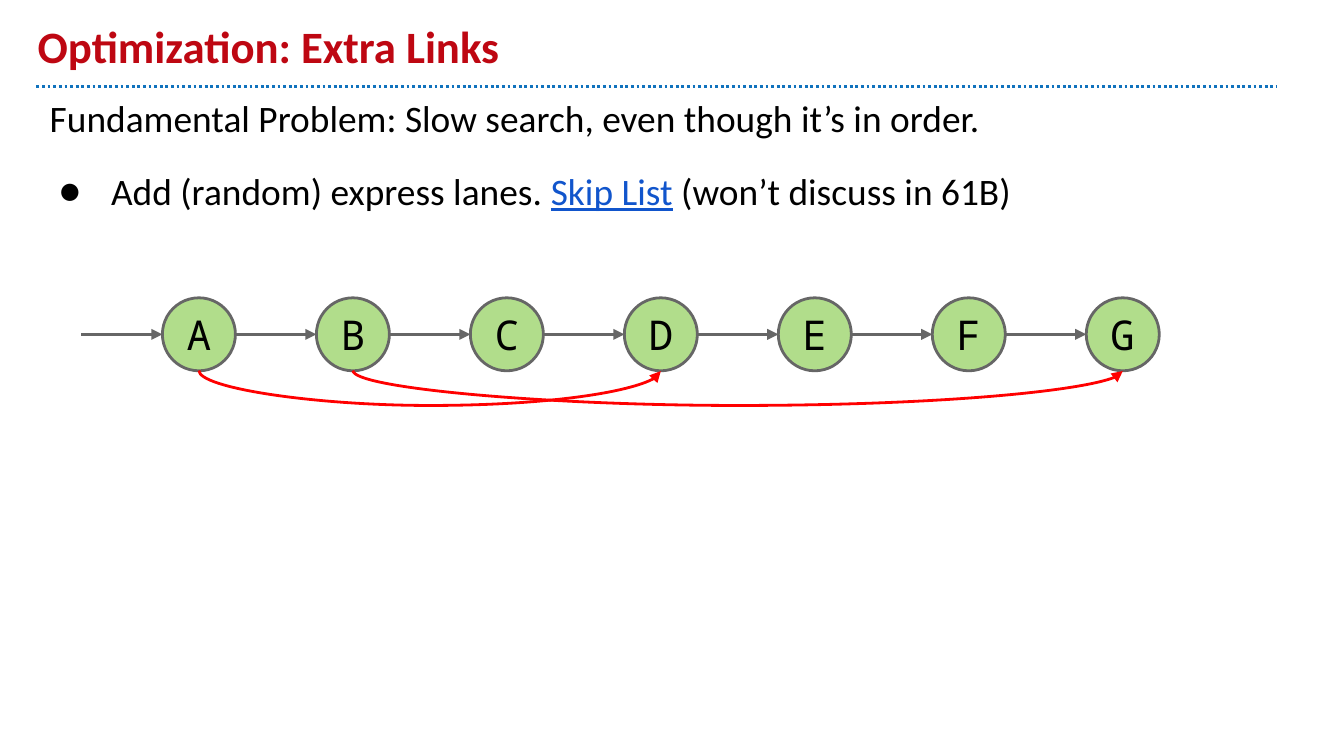
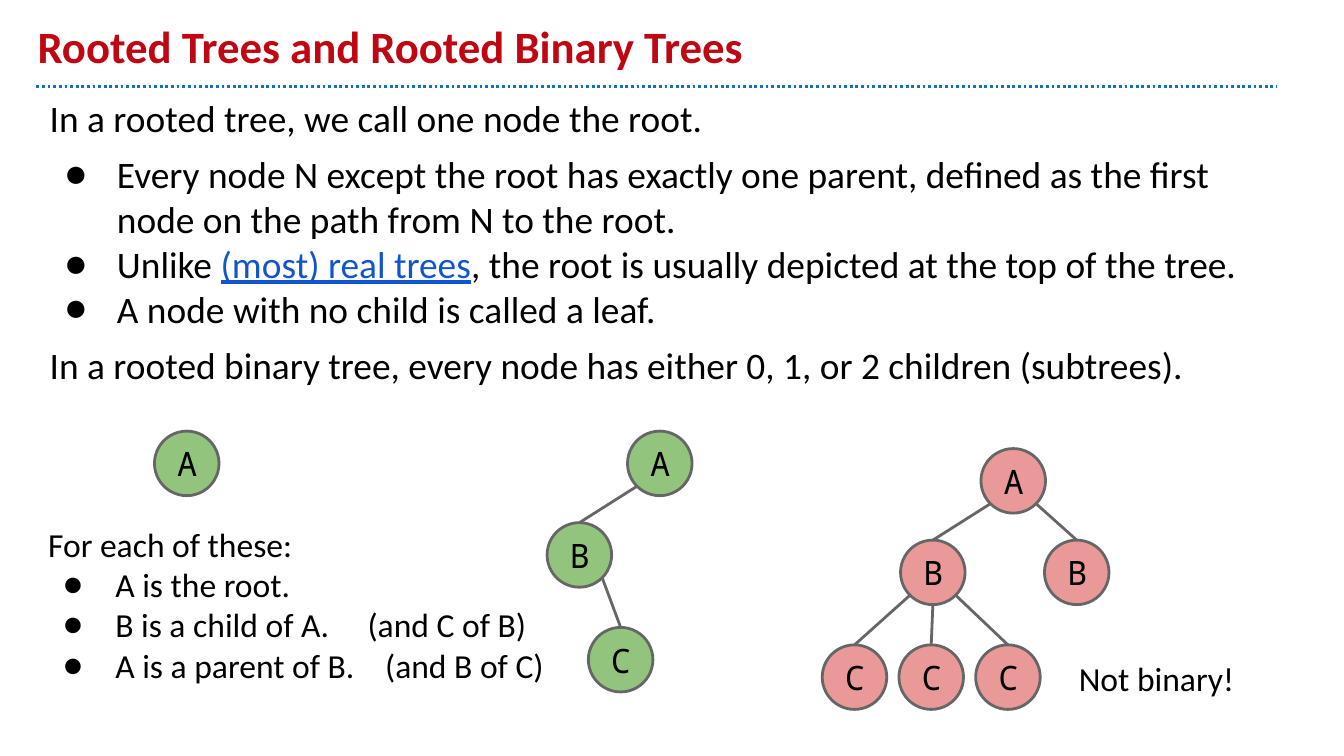
from dataclasses import dataclass
from math import sqrt
from typing import Any, NamedTuple, Sequence

from lxml import etree
from pptx import Presentation
from pptx import util as u
from pptx.dml.color import RGBColor
from pptx.enum import dml, shapes, text
from pptx.oxml import ns


@dataclass(frozen=True)
class Theme:
    title: RGBColor = RGBColor(0xBE, 0x07, 0x12)
    rule: RGBColor = RGBColor(0x10, 0x72, 0xBD)
    ink: RGBColor = RGBColor(0, 0, 0)
    link: RGBColor = RGBColor(0x11, 0x55, 0xCC)
    outline: RGBColor = RGBColor(0x66, 0x66, 0x66)
    express: RGBColor = RGBColor(0xFF, 0, 0)
    list_node: RGBColor = RGBColor(0xB1, 0xDD, 0x8B)
    binary_node: RGBColor = RGBColor(0x93, 0xC4, 0x7D)
    other_node: RGBColor = RGBColor(0xEA, 0x99, 0x99)
    font: str = "Calibri"
    mono: str = "Noto Sans Mono"
    title_size: float = 24
    list_node_size: float = 22
    body_size: float = 20
    small_size: float = 18
    line_width: float = 1.5
    inset: float = 0.25


THEME = Theme()


class Box(NamedTuple):
    left: float
    top: float
    width: float
    height: float


class Point(NamedTuple):
    x: float
    y: float


class Run(NamedTuple):
    text: str
    link: bool = False
    spacing: float = 0


@dataclass(frozen=True)
class Line:
    runs: tuple[Run, ...]
    bullet: bool = False
    before: float = 0


@dataclass(frozen=True)
class Node:
    label: str
    center: Point
    parent: int | None = None


def plain(content: str, before: float = 0) -> Line:
    return Line((Run(content),), before=before)


def bullet(*runs: Run | str, before: float = 0) -> Line:
    parts = tuple(Run(run) if isinstance(run, str) else run for run in runs)
    return Line(parts, bullet=True, before=before)


def add_xml(parent: Any, tag: str, **attributes: Any) -> Any:
    values = {name: str(value) for name, value in attributes.items()}
    return etree.SubElement(parent, ns.qn(tag), values)


def write_text(paragraph: Any, content: str, *, size: float, font: str = THEME.font,
               color: RGBColor = THEME.ink, bold: bool = False,
               underline: bool = False, spacing: float = 0) -> None:
    run = paragraph.add_run()
    run.text = content
    run.font.name = font
    run.font.size = u.Pt(size)
    run.font.color.rgb = color
    run.font.bold = bold
    run.font.underline = underline
    if spacing:
        run.font._element.set("spc", str(round(spacing * 100)))


def prepare_frame(frame: Any, anchor: Any) -> None:
    frame.word_wrap = True
    frame.auto_size = text.MSO_AUTO_SIZE.NONE
    frame.vertical_anchor = anchor
    frame.margin_left = frame.margin_right = u.Cm(THEME.inset)
    frame.margin_top = frame.margin_bottom = u.Cm(THEME.inset)


def place(shape: Any, box: Box) -> None:
    shape.left, shape.top, shape.width, shape.height = map(u.Cm, box)


def format_bullet(paragraph: Any, shown: bool) -> None:
    properties = paragraph._p.get_or_add_pPr()
    properties.set("marL", str(u.Cm(1.27) if shown else 0))
    properties.set("indent", str(-u.Cm(0.99) if shown else 0))
    if shown:
        add_xml(add_xml(properties, "a:buClr"), "a:srgbClr", val=THEME.ink)
        add_xml(properties, "a:buFont", typeface=THEME.font)
        add_xml(properties, "a:buChar", char="●")
    else:
        add_xml(properties, "a:buNone")


def write_lines(shape: Any, lines: Sequence[Line], size: float,
                anchor: Any = text.MSO_ANCHOR.TOP) -> None:
    frame = shape.text_frame
    prepare_frame(frame, anchor)
    for index, line in enumerate(lines):
        paragraph = frame.add_paragraph() if index else frame.paragraphs[0]
        paragraph.alignment = text.PP_ALIGN.LEFT
        paragraph.space_before = u.Pt(line.before)
        paragraph.space_after = u.Pt(0)
        format_bullet(paragraph, line.bullet)
        for run in line.runs:
            write_text(paragraph, run.text, size=size, spacing=run.spacing,
                       color=THEME.link if run.link else THEME.ink,
                       underline=run.link)


def add_text_box(slide: Any, box: Box, lines: Sequence[Line], size: float,
                 anchor: Any = text.MSO_ANCHOR.TOP) -> None:
    write_lines(slide.shapes.add_textbox(*map(u.Cm, box)), lines, size, anchor)


def add_line(canvas: Any, start: Point, end: Point, *, color: RGBColor = THEME.outline,
             arrow: bool = False, kind: Any = shapes.MSO_CONNECTOR.STRAIGHT) -> Any:
    connector = canvas.add_connector(kind, *map(u.Cm, (*start, *end)))
    connector.line.color.rgb = color
    connector.line.width = u.Pt(THEME.line_width)
    if arrow:
        add_xml(connector.line._get_or_add_ln(), "a:tailEnd", type="triangle")
    add_xml(connector.element.spPr, "a:effectLst")
    return connector


def add_node(canvas: Any, label: str, center: Point, diameter: float,
             fill: RGBColor, size: float) -> Any:
    box = Box(center.x - diameter / 2, center.y - diameter / 2, diameter, diameter)
    node = canvas.add_shape(shapes.MSO_SHAPE.OVAL, *map(u.Cm, box))
    node.shadow.inherit = False
    node.fill.solid()
    node.fill.fore_color.rgb = fill
    node.line.color.rgb = THEME.outline
    node.line.width = u.Pt(THEME.line_width)
    prepare_frame(node.text_frame, text.MSO_ANCHOR.MIDDLE)
    paragraph = node.text_frame.paragraphs[0]
    paragraph.alignment = text.PP_ALIGN.CENTER
    write_text(paragraph, label, size=size, font=THEME.mono)
    return node


def add_express_lane(canvas: Any, source: Any, target: Any,
                     start: Point, end: Point) -> None:
    depth, thickness, bottom_site = 0.66, 0.01, 4
    lane = add_line(canvas, start, end, color=THEME.express, arrow=True,
                    kind=shapes.MSO_CONNECTOR.CURVE)
    span = end.x - start.x
    middle = (start.x + end.x) / 2
    place(lane, Box(middle - thickness / 2, start.y - span / 2, thickness, span))
    properties = lane.element.spPr
    transform = properties.find(ns.qn("a:xfrm"))
    transform.set("rot", "16200000")
    transform.set("flipH", "1")
    adjustments = properties.find(ns.qn("a:prstGeom")).find(ns.qn("a:avLst"))
    ratio = round(depth / thickness * 100000)
    add_xml(adjustments, "a:gd", name="adj1", fmla=f"val {ratio}")
    ends = lane.element.nvCxnSpPr.cNvCxnSpPr
    add_xml(ends, "a:stCxn", id=source.shape_id, idx=bottom_site)
    add_xml(ends, "a:endCxn", id=target.shape_id, idx=bottom_site)


def add_tree(slide: Any, nodes: Sequence[Node], fill: RGBColor) -> None:
    diameter = 1.22
    radius = diameter / 2
    canvas = slide.shapes.add_group_shape().shapes if len(nodes) > 1 else slide.shapes
    for node in nodes:
        if node.parent is None:
            continue
        parent = nodes[node.parent].center
        offset = node.center.x - parent.x
        if abs(offset) < 0.1:
            start = Point(parent.x, parent.y + radius)
        else:
            reach = radius / sqrt(2)
            start = Point(parent.x + (reach if offset > 0 else -reach), parent.y + reach)
        add_line(canvas, start, Point(node.center.x, node.center.y - radius))
    for node in nodes:
        add_node(canvas, node.label, node.center, diameter, fill, THEME.small_size)


def add_slide(presentation: Any, title: str, title_width: float,
              body_height: float, lines: Sequence[Line]) -> Any:
    slide = presentation.slides.add_slide(presentation.slide_layouts[1])
    heading, body = slide.placeholders
    place(heading, Box(0.46, 0.25, title_width, 1.37))
    prepare_frame(heading.text_frame, text.MSO_ANCHOR.BOTTOM)
    paragraph = heading.text_frame.paragraphs[0]
    paragraph.alignment = text.PP_ALIGN.LEFT
    write_text(paragraph, title, size=THEME.title_size, color=THEME.title, bold=True)
    place(body, Box(0.69, 1.55, 23.44, body_height))
    write_lines(body, lines, THEME.body_size)
    return slide


def add_layout_rule(slide: Any) -> None:
    rule = add_line(slide.shapes, Point(0.69, 1.63), Point(24.13, 1.63), color=THEME.rule)
    rule.line.dash_style = dml.MSO_LINE.ROUND_DOT
    slide.slide_layout.shapes.element.append(rule.element)


def build_links_slide(presentation: Any) -> None:
    slide = add_slide(presentation, "Optimization: Extra Links", 22.86, 2.16, [
        plain("Fundamental Problem: Slow search, even though it’s in order.", 6)])
    add_layout_rule(slide)
    diameter, step, first, middle = 1.38, 2.91, 3.76, 6.32
    radius = diameter / 2
    centers = {label: Point(first + index * step, middle)
               for index, label in enumerate("ABCDEFG")}
    nodes = {label: add_node(slide.shapes, label, center, diameter,
                             THEME.list_node, THEME.list_node_size)
             for label, center in centers.items()}
    for center in centers.values():
        add_line(slide.shapes, Point(center.x - step + radius, middle),
                 Point(center.x - radius, middle), arrow=True)
    for source, target in ("AD", "BG"):
        add_express_lane(slide.shapes, nodes[source], nodes[target],
                         Point(centers[source].x, middle + radius),
                         Point(centers[target].x, middle + radius))
    add_text_box(slide, Box(0.58, 2.03, 24.13, 3.15), [
        bullet("Add (random) express lanes. ", Run("Skip List", link=True),
               " (won’t discuss in 61B)", before=6)],
        THEME.body_size, text.MSO_ANCHOR.MIDDLE)


def build_trees_slide(presentation: Any) -> None:
    slide = add_slide(presentation, "Rooted Trees and Rooted Binary Trees", 24, 6.81, [
        plain("In a rooted tree, we call one node the root.", 6),
        bullet("Every node N except the root has exactly one parent, defined as "
               "the first node on the path from N to the root.", before=6),
        bullet("Unlike ", Run("(most) real trees", link=True),
               ", the root is usually depicted at the top of the tree."),
        bullet("A node with no child is called a leaf."),
        plain("In a rooted binary tree, every node has either 0, 1, or 2 children "
              "(subtrees).", 6)])
    add_tree(slide, [Node("A", Point(3.53, 8.76))], THEME.binary_node)
    add_tree(slide, [Node("A", Point(12.47, 8.76)),
                     Node("B", Point(10.95, 10.49), 0),
                     Node("C", Point(11.73, 12.47), 1)], THEME.binary_node)
    leaves = [Node("C", Point(16.15 + 1.45 * index, 12.8), 1) for index in range(3)]
    add_tree(slide, [Node("A", Point(19.15, 9.09)),
                     Node("B", Point(17.63, 10.82), 0),
                     Node("B", Point(20.35, 10.82), 0), *leaves], THEME.other_node)
    add_text_box(slide, Box(0.66, 9.65, 10.24, 4.42), [
        plain("For each of these:"),
        bullet("A is the root."),
        bullet("B is a child of A.", Run(" ", spacing=16.3), "(and C of B)"),
        bullet("A is a parent of B.", Run(" ", spacing=12.2), "(and B of C)")],
        THEME.small_size)
    add_text_box(slide, Box(20.14, 12.19, 4.34, 1.22), [plain("Not binary!")],
                 THEME.small_size)


def main() -> None:
    presentation = Presentation()
    presentation.slide_width = u.Cm(25.4)
    presentation.slide_height = u.Cm(14.29)
    build_links_slide(presentation)
    build_trees_slide(presentation)
    presentation.save("out.pptx")


main()
